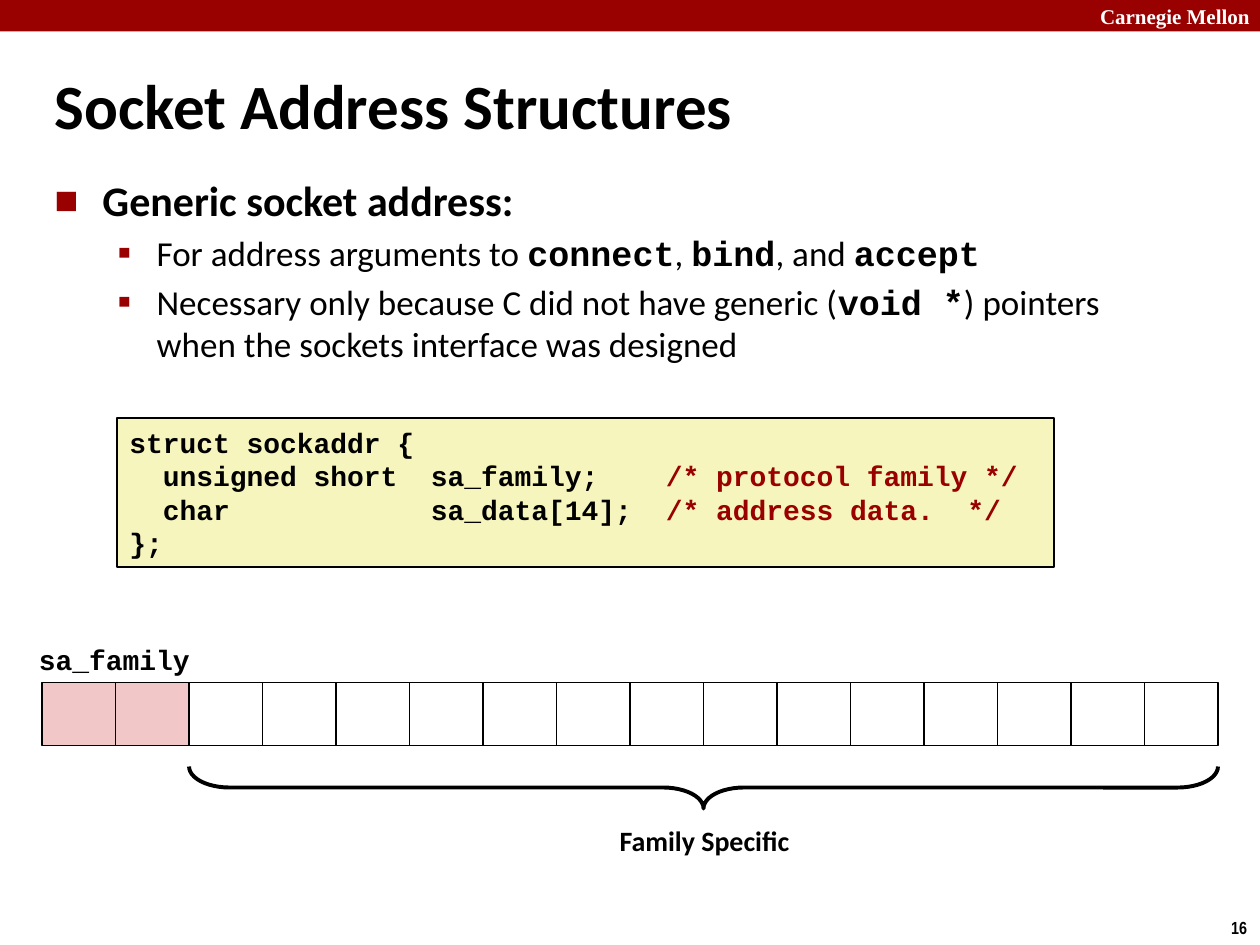
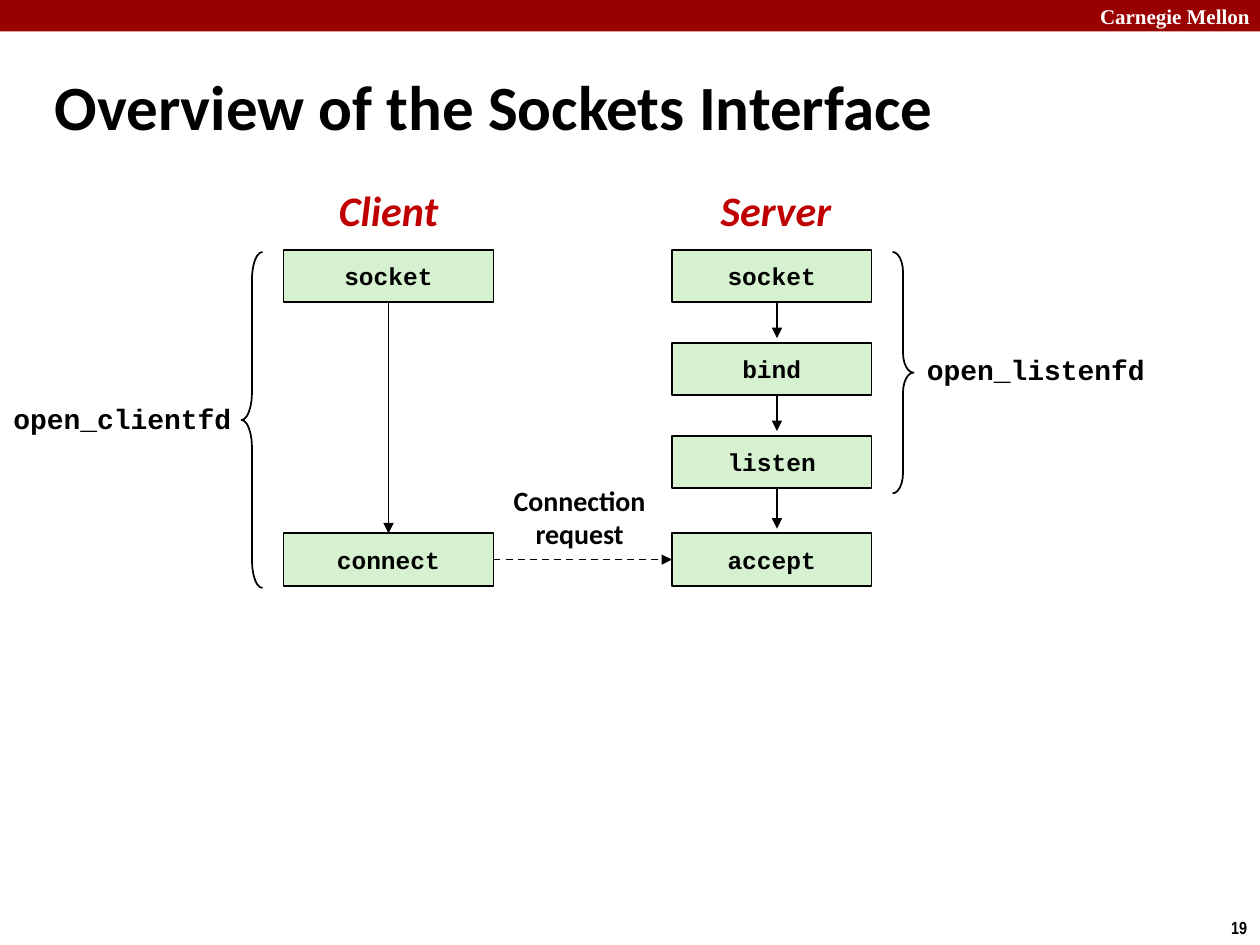
"""Build two slides on socket addresses and the sockets interface."""
from itertools import pairwise

from lxml.etree import SubElement
from pptx import Presentation
from pptx.dml.color import RGBColor
from pptx.enum.dml import MSO_LINE
from pptx.enum.shapes import MSO_CONNECTOR, MSO_SHAPE
from pptx.enum.text import MSO_ANCHOR, MSO_AUTO_SIZE, PP_ALIGN
from pptx.oxml.ns import qn
from pptx.util import Inches, Pt

BLACK = RGBColor(0x00, 0x00, 0x00)
WHITE = RGBColor(0xFF, 0xFF, 0xFF)
CRIMSON = RGBColor(0x99, 0x00, 0x00)
RED = RGBColor(0xC0, 0x00, 0x00)
CREAM = RGBColor(0xF6, 0xF5, 0xBD)
PINK = RGBColor(0xF1, 0xC7, 0xC7)
GREEN = RGBColor(0xD5, 0xF1, 0xCF)

COLUMNS, ROWS = 120, 90

TITLE = dict(name="Calibri", size=Pt(36), bold=True)
HEADING = dict(TITLE, size=Pt(24))
ROLE = dict(HEADING, italic=True, color=RED)
CAPTION = dict(TITLE, size=Pt(16))
POINT = dict(name="Calibri", size=Pt(20), bold=False)
POINT_CODE = dict(name="Courier New", size=Pt(20), bold=True)
CODE = dict(POINT_CODE, size=Pt(16))
COMMENT = dict(CODE, color=CRIMSON)
CALL = dict(CODE, size=Pt(14))
BAND = dict(name="Times New Roman", size=Pt(12), bold=True, color=WHITE)
NUMBER = dict(name="Arial Narrow", size=Pt(10), bold=True)

BULLETS = [("■", 60, 0.38, -0.38), ("▪", 110, 0.81, -0.31)]


class Deck:
    """Hold the shared style and draw on the current slide in grid units."""

    def __init__(self):
        self.prs = Presentation()
        self.prs.slide_width, self.prs.slide_height = Inches(10), Inches(7.5)
        self.column = self.prs.slide_width / COLUMNS
        self.row = self.prs.slide_height / ROWS
        self.slide = None

    def area(self, left, top, width, height):
        """Turn grid units into lengths."""
        return (round(left * self.column), round(top * self.row),
                round(width * self.column), round(height * self.row))

    def add_runs(self, paragraph, runs):
        """Add formatted runs to a paragraph."""
        for text, style in runs:
            run = paragraph.add_run()
            run.text = text
            run.font.color.rgb = style.get("color", BLACK)
            for key, value in style.items():
                if key != "color":
                    setattr(run.font, key, value)

    def fill_frame(self, frame, lines, align=PP_ALIGN.CENTER, **layout):
        """Put lines of runs into a text frame."""
        settings = dict(word_wrap=True, auto_size=MSO_AUTO_SIZE.NONE,
                        vertical_anchor=MSO_ANCHOR.MIDDLE,
                        margin_left=0, margin_right=0)
        for key, value in (settings | layout).items():
            setattr(frame, key, value)
        for index, runs in enumerate(lines):
            paragraph = frame.paragraphs[0] if index == 0 else frame.add_paragraph()
            paragraph.alignment = align
            self.add_runs(paragraph, runs)

    def start(self, title, number, title_top, layout):
        """Begin a slide with its title, band and number."""
        self.slide = self.prs.slides.add_slide(self.prs.slide_layouts[layout])
        self.placeholder(self.slide.shapes.title, (4, title_top, 114, 15 - title_top),
                         [[(title, TITLE)]], MSO_ANCHOR.MIDDLE)
        band = self.shape(MSO_SHAPE.RECTANGLE, (0, 0, COLUMNS, 3), CRIMSON, None)
        self.fill_frame(band.text_frame, [[("Carnegie Mellon", BAND)]], PP_ALIGN.RIGHT,
                        margin_top=0, margin_bottom=0, margin_right=Inches(0.08))
        self.label((116, 86.75, 4, 3.25), [number], NUMBER)

    def placeholder(self, holder, area, lines, anchor):
        """Move a template placeholder and put left-aligned text in it."""
        holder.left, holder.top, holder.width, holder.height = self.area(*area)
        self.fill_frame(holder.text_frame, lines, PP_ALIGN.LEFT, vertical_anchor=anchor,
                        margin_left=Inches(0.1), margin_right=Inches(0.1))

    def bullets(self, area, points):
        """Fill the body placeholder with (level, runs) points."""
        body = self.slide.placeholders[1]
        self.placeholder(body, area, [runs for _, runs in points], MSO_ANCHOR.TOP)
        for index, (level, _) in enumerate(points):
            paragraph = body.text_frame.paragraphs[index]
            paragraph.level = level
            paragraph.space_before = Pt(4 if index else 0)
            char, percent, margin, indent = BULLETS[level]
            props = paragraph._p.get_or_add_pPr()
            props.set("marL", str(Inches(margin)))
            props.set("indent", str(Inches(indent)))
            SubElement(SubElement(props, qn("a:buClr")), qn("a:srgbClr"), val=str(CRIMSON))
            SubElement(props, qn("a:buSzPct"), val=str(percent * 1000))
            SubElement(props, qn("a:buFont"), typeface="Calibri")
            SubElement(props, qn("a:buChar"), char=char)

    def shape(self, kind, area, fill=None, line=BLACK, width=1):
        """Add a flat preset shape."""
        shape = self.slide.shapes.add_shape(kind, *self.area(*area))
        shape.shadow.inherit = False
        if fill is None:
            shape.fill.background()
        else:
            shape.fill.solid()
            shape.fill.fore_color.rgb = fill
        if line is None:
            shape.line.fill.background()
        else:
            shape.line.color.rgb = line
            shape.line.width = Pt(width)
        return shape

    def call(self, area, name):
        """Add a green box with a function name."""
        box = self.shape(MSO_SHAPE.RECTANGLE, area, GREEN)
        self.fill_frame(box.text_frame, [[(name, CALL)]])
        return box

    def code(self, area, lines):
        """Add a code listing."""
        listing = self.shape(MSO_SHAPE.RECTANGLE, area, CREAM)
        self.fill_frame(listing.text_frame, lines, PP_ALIGN.LEFT, margin_left=Inches(0.1))

    def label(self, area, lines, style):
        """Add a centred label of one or more lines."""
        label = self.slide.shapes.add_textbox(*self.area(*area))
        self.fill_frame(label.text_frame, [[(line, style)] for line in lines])

    def brace(self, kind, area, curve, width=1, rotation=0):
        """Add a brace."""
        brace = self.shape(kind, area, width=width)
        brace.adjustments[0] = curve
        brace.rotation = rotation

    def arrow(self, start=(0, 0), end=(0, 0), joins=None, dash=None):
        """Add an arrow between grid points or joined (shape, side) pairs."""
        arrow = self.slide.shapes.add_connector(
            MSO_CONNECTOR.STRAIGHT, *self.area(*start, *end))
        if joins:
            arrow.begin_connect(*joins[0])
            arrow.end_connect(*joins[1])
        arrow.line.color.rgb = BLACK
        arrow.line.width = Pt(1)
        if dash:
            arrow.line.dash_style = dash
        props = arrow._element.spPr
        SubElement(props.find(qn("a:ln")), qn("a:tailEnd"), type="triangle")
        SubElement(props, qn("a:effectLst"))


def address_structures(deck):
    """Draw the generic socket address slide."""
    deck.start("Socket Address Structures", "16", 4.8, layout=1)
    deck.bullets((4, 16, 109, 22), [
        (0, [("Generic socket address:", HEADING)]),
        (1, [("For address arguments to ", POINT), ("connect", POINT_CODE), (", ", POINT),
             ("bind", POINT_CODE), (", and ", POINT), ("accept", POINT_CODE)]),
        (1, [("Necessary only because C did not have generic (", POINT),
             ("void *", POINT_CODE),
             (") pointers when the sockets interface was designed", POINT)]),
    ])
    deck.code((11.15, 39.8, 89.2, 14.2), [
        [("struct sockaddr {", CODE)],
        [("  unsigned short  sa_family;    ", CODE), ("/* protocol family */", COMMENT)],
        [("  char            sa_data[14];  ", CODE), ("/* address data.  */", COMMENT)],
        [("};", CODE)],
    ])
    family_bytes, total_bytes, byte_width = 2, 16, 7
    for byte in range(total_bytes):
        deck.shape(MSO_SHAPE.RECTANGLE, (4 + byte * byte_width, 65, byte_width, 6),
                   PINK if byte < family_bytes else None)
    deck.label((2.5, 60.6, 16.8, 4.4), ["sa_family"], CODE)
    deck.label((57.7, 77.8, 18.8, 4.4), ["Family Specific"], CAPTION)
    deck.brace(MSO_SHAPE.RIGHT_BRACE, (65, 26, 4, 98), 0.96, width=2.25, rotation=90)


def sockets_overview(deck):
    """Draw the client and server call sequence."""
    deck.start("Overview of the Sockets Interface", "19", 5, layout=5)
    deck.label((31, 17, 12, 6), ["Client"], ROLE)
    deck.label((67.4, 17, 13, 6), ["Server"], ROLE)

    steps = {"socket": 23.8, "bind": 32.65, "listen": 41.5, "accept": 50.8}
    height = 5
    server = {name: deck.call((64, top, 19, height), name) for name, top in steps.items()}
    for top, following in pairwise(steps.values()):
        deck.arrow((74, top + height), (74, following - 0.45))

    client_socket = deck.call((27, steps["socket"], 20, height), "socket")
    connect = deck.call((27, steps["accept"], 20, height), "connect")
    deck.arrow(joins=[(client_socket, 2), (connect, 0)])
    deck.arrow(joins=[(connect, 3), (server["accept"], 1)], dash=MSO_LINE.DASH)
    deck.label((47.6, 45.4, 15.2, 7.6), ["Connection", "request"], CAPTION)

    deck.brace(MSO_SHAPE.RIGHT_BRACE, (85, 24, 2, 23), 0.96)
    deck.label((87, 33, 23.3, 4.4), ["open_listenfd"], CODE)
    deck.brace(MSO_SHAPE.LEFT_BRACE, (23, 24, 2, 32), 1.33)
    deck.label((0, 37.6, 23.3, 4.4), ["open_clientfd"], CODE)


def main():
    """Build and save both slides."""
    deck = Deck()
    address_structures(deck)
    sockets_overview(deck)
    deck.prs.save("out.pptx")


if __name__ == "__main__":
    main()
